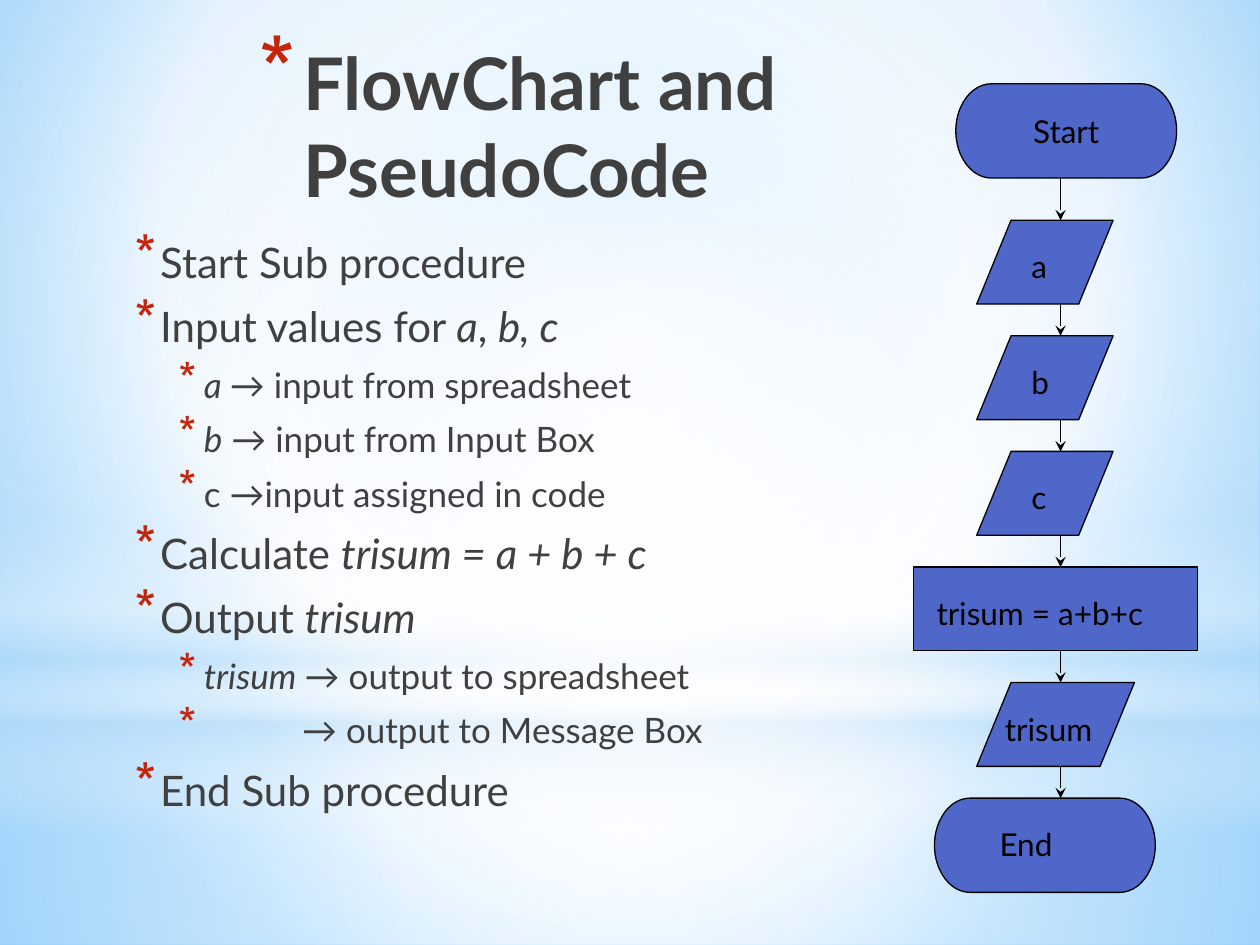
import dataclasses

import lxml.etree
import pptx
import pptx.dml.color
import pptx.enum.shapes
import pptx.enum.text
import pptx.oxml.ns
import pptx.util

Cm = pptx.util.Cm
Pt = pptx.util.Pt
Kind = pptx.enum.shapes.MSO_SHAPE


@dataclasses.dataclass(frozen=True)
class Theme:
    font: str = "Lato"
    ink: str = "404040"
    black: str = "000000"
    star: str = "C3260C"
    node: str = "4E67C8"
    white: str = "FFFFFF"
    sky: str = "B4DCFA"
    head: float = 41.4
    main: float = 24
    sub: float = 20
    label: float = 18
    line: float = 0.75


THEME = Theme()
WIDE, HIGH = 25.4, 19.05


def color(code):
    return pptx.dml.color.RGBColor.from_string(code)


def node(parent, tag, **attrs):
    """Append one drawing element with the given attributes."""
    return lxml.etree.SubElement(
        parent, pptx.oxml.ns.qn("a:" + tag), {k: str(v) for k, v in attrs.items()})


def shade(fill, root, stops, focus=None):
    """Fill with (place, colour, opacity) stops, round a focus or downwards."""
    fill.gradient()
    grad = root.find(".//" + pptx.oxml.ns.qn("a:gradFill"))
    for child in list(grad):
        grad.remove(child)
    rows = node(grad, "gsLst")
    for place, code, alpha in stops:
        stop = node(rows, "gs", pos=place * 1000)
        tint = node(stop, "srgbClr", val=code)
        if alpha < 100:
            node(tint, "alpha", val=alpha * 1000)
    if focus:
        way = node(grad, "path", **{"path": "circle"})
        node(way, "fillToRect", **{k: v * 1000 for k, v in zip("ltrb", focus)})
    else:
        node(grad, "lin", ang=90 * 60000, scaled=0)


def shape(slide, kind, box):
    item = slide.shapes.add_shape(kind, *map(Cm, box))
    item.shadow.inherit = False
    return item


def backdrop(slide, box):
    """Sky gradient, with veils of light over it."""
    left, top, wide, high = box
    white, sky = THEME.white, THEME.sky
    mid = (50, 50, 50, 50)
    split = 14.17
    shade(slide.background.fill, slide.element,
          [(0, "9ED5FF", 100), (60, white, 100), (100, "5BB9FF", 100)],
          (20, 10, 20, 60))
    veils = [
        (Kind.RECTANGLE, split, high - split, mid,
         [(0, white, 91), (37, white, 76), (100, sky, 79)]),
        (Kind.RECTANGLE, 0, split, mid,
         [(0, white, 89), (48, white, 62), (100, sky, 79)]),
        (Kind.RECTANGLE, 10.46, 6.35, None,
         [(0, white, 0), (29, white, 30), (45, sky, 40),
          (55, white, 26), (65, sky, 60), (100, white, 0)]),
        (Kind.OVAL, 4.45, split, mid, [(0, white, 100), (56, white, 0)]),
    ]
    for kind, drop, tall, focus, stops in veils:
        veil = shape(slide, kind, (left, top + drop, wide, tall))
        veil.line.fill.background()
        shade(veil.fill, veil.element, stops, focus)


def frame(slide, box):
    text = slide.shapes.add_textbox(*map(Cm, box)).text_frame
    text.word_wrap = True
    return text


def write(para, text, size, code, bold=False, slant=False):
    run = para.add_run()
    run.text = text
    font = run.font
    font.name, font.size = THEME.font, Pt(size)
    font.bold, font.italic = bold, slant
    font.color.rgb = color(code)


def bullet(para, left, hang, size):
    props = para._p.get_or_add_pPr()
    props.set("marL", str(Cm(left)))
    props.set("indent", str(-Cm(hang)))
    tint = node(props, "buClr")
    node(tint, "srgbClr", val=THEME.star)
    node(props, "buSzPct", val=size * 1000)
    node(props, "buChar", char="*")


def title(slide, box):
    para = frame(slide, box).paragraphs[0]
    bullet(para, 0.89, 0.89, 128)
    write(para, "FlowChart and PseudoCode", THEME.head, THEME.ink, bold=True)


def steps(slide, box):
    """Bulleted pseudocode; each row has a level, an extra gap and its runs."""
    rows = [
        (0, 0, [("Start Sub procedure", False)]),
        (0, 0, [("Input values for ", False), ("a", True), (", ", False),
                ("b, c", True)]),
        (1, 0, [("a ", True), ("→ input from spreadsheet", False)]),
        (1, 0, [("b", True), (" → input from Input Box", False)]),
        (1, 0, [("c →input assigned in code", False)]),
        (0, 0, [("Calculate ", False), ("trisum = a + b + c", True)]),
        (0, 0, [("Output ", False), ("trisum", True)]),
        (1, 0, [("trisum ", True), ("→ output to spreadsheet", False)]),
        (1, 1.98, [("→ output to Message Box", False)]),
        (0, 0, [("End Sub procedure", False)]),
    ]
    text = frame(slide, box)
    for i, (level, gap, runs) in enumerate(rows):
        para = text.add_paragraph() if i else text.paragraphs[0]
        size = THEME.sub if level else THEME.main
        para.level = level
        para.space_before = Pt(0.2 * size if i else 0)
        para.space_after = Pt(3)
        bullet(para, (1.52 if level else 0.64) + gap, 0.51 + gap, 130)
        for words, slant in runs:
            write(para, words, size, THEME.ink, slant=slant)


def arrow(slide, x, top, end):
    line = slide.shapes.add_connector(
        pptx.enum.shapes.MSO_CONNECTOR.STRAIGHT, *map(Cm, (x, top, x, end)))
    line.line.color.rgb = color(THEME.black)
    line.line.width = Pt(THEME.line)
    node(line.line._get_or_add_ln(), "tailEnd", type="stealth")
    node(line.element.spPr, "effectLst")


def flow(slide, box):
    """Chart from start to end; a label without a place is centred."""
    left, top = box[:2]
    pill, slope = Kind.FLOWCHART_TERMINATOR, Kind.PARALLELOGRAM
    tall, low = 1.9, 1.69
    rows = [
        (pill, 0.85, 4.45, tall, 0.85, "Start", None),
        *[(slope, 1.27, 2.75, low, 0.64, name, (2.12, 1.06)) for name in "abc"],
        (Kind.FLOWCHART_PROCESS, 0, 5.72, low, 0.64, "trisum = a+b+c", (0.21, 5.29)),
        (slope, 1.27, 3.18, low, 0.64, "trisum", (1.59, 2.54)),
        (pill, 0.42, 4.45, tall, 0, "End", (1.48, 2.54)),
    ]
    for kind, x, wide, high, gap, name, place in rows:
        part = shape(slide, kind, (left + x, top, wide, high))
        part.fill.solid()
        part.fill.fore_color.rgb = color(THEME.node)
        part.line.color.rgb = color(THEME.black)
        part.line.width = Pt(THEME.line)
        if kind == slope:
            part.adjustments[0] = 0.41
        if place:
            text = frame(slide, (left + place[0], top + 0.42, place[1], 1.02))
        else:
            text = part.text_frame
            text.word_wrap = False
            text.vertical_anchor = pptx.enum.text.MSO_ANCHOR.MIDDLE
            text.paragraphs[0].alignment = pptx.enum.text.PP_ALIGN.CENTER
        write(text.paragraphs[0], name, THEME.label, THEME.black)
        if gap:
            arrow(slide, left + 2.96, top + high, top + high + gap)
        top += high + gap


def main():
    deck = pptx.Presentation()
    deck.slide_width, deck.slide_height = Cm(WIDE), Cm(HIGH)
    slide = deck.slides.add_slide(deck.slide_layouts[6])
    backdrop(slide, (0, 0, WIDE, HIGH))
    title(slide, (4.98, 0.64, 18.08, 3.18))
    steps(slide, (2.34, 4.65, 19.48, 12.5))
    flow(slide, (18.42, 1.69, 5.72, 16.3))
    deck.save("out.pptx")


if __name__ == "__main__":
    main()
